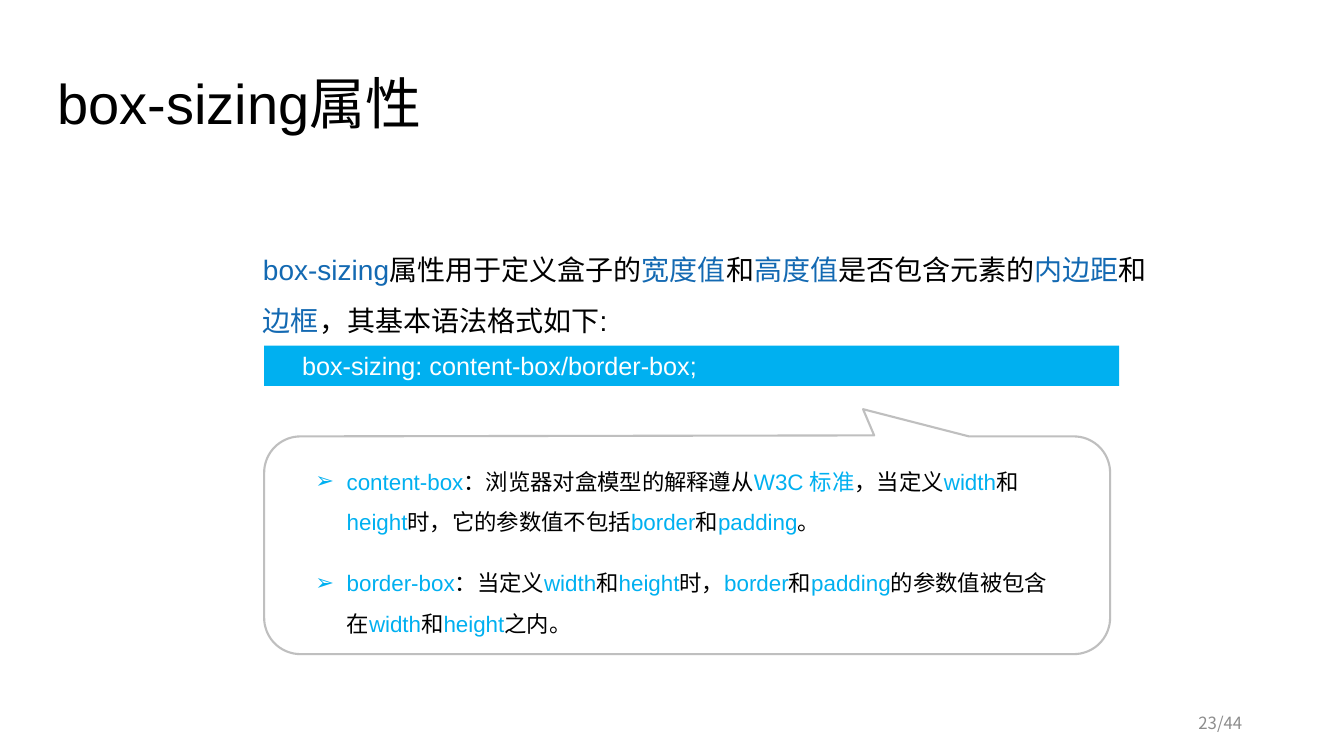
from math import cos, radians, sin

from lxml.etree import SubElement
from pptx import Presentation
from pptx.dml.color import RGBColor
from pptx.enum.shapes import MSO_SHAPE
from pptx.enum.text import MSO_ANCHOR, PP_ALIGN
from pptx.oxml.ns import qn
from pptx.util import Inches, Pt

COLORS = {
    "black": "000000",
    "white": "FFFFFF",
    "blue": "1369B2",
    "cyan": "00B0F0",
    "outline": "BFBFBF",
    "gray": "8C8C8C",
}
CJK = "Noto Sans CJK SC"


def add_runs(p, runs, size, font="Arial"):
    for text, color in runs:
        r = p.add_run()
        r.text = text
        r.font.size = Pt(size)
        r.font.name = font
        r.font.color.rgb = RGBColor.from_string(COLORS[color])
        SubElement(r.font._element, qn("a:ea"), typeface=CJK)


def add_text(left, top, width, height, spacing):
    tf = s.shapes.add_textbox(Inches(left), Inches(top), Inches(width), Inches(height)).text_frame
    tf.word_wrap = True
    tf.paragraphs[0].line_spacing = spacing
    return tf


prs = Presentation()
prs.slide_width = Inches(13.33)
prs.slide_height = Inches(7.5)
s = prs.slides.add_slide(prs.slide_layouts[6])

tf = add_text(0.47, 0.3, 6.57, 1.11, 1.5)
add_runs(tf.paragraphs[0], [("box-sizing属性", "black")], 40)

tf = add_text(2.51, 2.29, 9.04, 1.11, 1.5)
intro = [
    ("box-sizing", "blue"),
    ("属性用于定义盒子的", "black"),
    ("宽度值", "blue"),
    ("和", "black"),
    ("高度值", "blue"),
    ("是否包含元素的", "black"),
    ("内边距", "blue"),
    ("和", "black"),
    ("边框", "blue"),
    ("，其基本语法格式如下:", "black"),
]
add_runs(tf.paragraphs[0], intro, 20)

sp = s.shapes.add_shape(MSO_SHAPE.RECTANGLE, Inches(2.62), Inches(3.43), Inches(8.48), Inches(0.4))
sp.shadow.inherit = False
sp.fill.solid()
sp.fill.fore_color.rgb = RGBColor.from_string(COLORS["cyan"])
sp.line.fill.background()
sp.text_frame.vertical_anchor = MSO_ANCHOR.TOP
p = sp.text_frame.paragraphs[0]
p.alignment = PP_ALIGN.LEFT
add_runs(p, [("    box-sizing: content-box/border-box;", "white")], 18)

left, top, right, bottom, radius = 2.62, 4.33, 11.01, 6.49, 0.36
corners = [
    (right - radius, top + radius, 270),
    (right - radius, bottom - radius, 0),
    (left + radius, bottom - radius, 90),
    (left + radius, top + radius, 180),
]
outline = [(8.67, 4.32), (8.56, 4.06), (9.61, top)]
for x, y, start in corners:
    for angle in range(start, start + 91, 5):
        outline.append((x + radius * cos(radians(angle)), y + radius * sin(radians(angle))))
points = [(Inches(x), Inches(y)) for x, y in outline]
builder = s.shapes.build_freeform(*points[0])
builder.add_line_segments(points[1:], close=True)
callout = builder.convert_to_shape()
callout.shadow.inherit = False
callout.fill.background()
callout.line.color.rgb = RGBColor.from_string(COLORS["outline"])
callout.line.width = Pt(1.5)

tf = add_text(3.03, 4.46, 7.65, 1.92, 1.5)
values = [
    [
        ("content-box", "cyan"),
        ("：浏览器对盒模型的解释遵从", "black"),
        ("W3C 标准", "cyan"),
        ("，当定义", "black"),
        ("width", "cyan"),
        ("和", "black"),
        ("height", "cyan"),
        ("时，它的参数值不包括", "black"),
        ("border", "cyan"),
        ("和", "black"),
        ("padding", "cyan"),
        ("。", "black"),
    ],
    [
        ("border-box", "cyan"),
        ("：当定义", "black"),
        ("width", "cyan"),
        ("和", "black"),
        ("height", "cyan"),
        ("时，", "black"),
        ("border", "cyan"),
        ("和", "black"),
        ("padding", "cyan"),
        ("的参数值被包含在", "black"),
        ("width", "cyan"),
        ("和", "black"),
        ("height", "cyan"),
        ("之内。", "black"),
    ],
]
for i, runs in enumerate(values):
    p = tf.add_paragraph() if i else tf.paragraphs[0]
    p.line_spacing = 1.5
    if i:
        p.space_before = Pt(15)
    pPr = p._p.get_or_add_pPr()
    pPr.set("marL", str(Inches(0.31)))
    pPr.set("indent", str(-Inches(0.31)))
    SubElement(pPr, qn("a:buFont"), typeface="Arial")
    SubElement(pPr, qn("a:buChar"), char="➢")
    add_runs(p, runs, 16)

tf = add_text(9.42, 6.95, 3, 0.4, 1.2)
tf.vertical_anchor = MSO_ANCHOR.MIDDLE
p = tf.paragraphs[0]
p.alignment = PP_ALIGN.RIGHT
add_runs(p, [("23/44", "gray")], 12, CJK)

prs.save("out.pptx")
